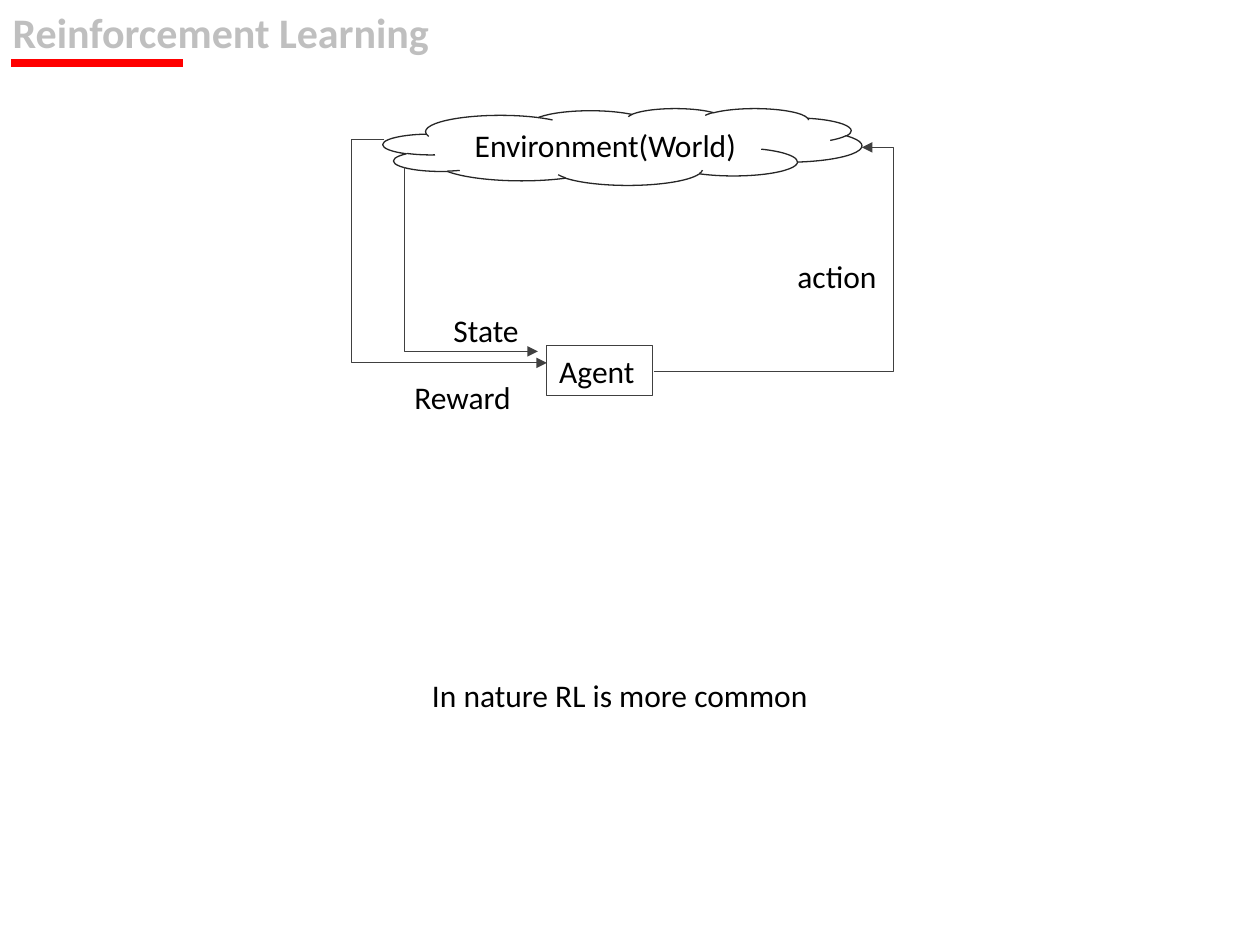
from lxml import etree
from pptx import Presentation
from pptx.dml.color import RGBColor
from pptx.enum.shapes import MSO_CONNECTOR, MSO_SHAPE
from pptx.enum.text import MSO_ANCHOR, PP_ALIGN
from pptx.oxml.ns import qn
from pptx.util import Inches, Pt

ELBOW, STRAIGHT = MSO_CONNECTOR.ELBOW, MSO_CONNECTOR.STRAIGHT
CLOUD, RECT = MSO_SHAPE.CLOUD, MSO_SHAPE.RECTANGLE
LEFT, CENTER = PP_ALIGN.LEFT, PP_ALIGN.CENTER
TOP, MIDDLE = MSO_ANCHOR.TOP, MSO_ANCHOR.MIDDLE
COLS, ROWS = 100, 75
FONT = "Calibri"


def cells(*nums):
    return [Inches(n / 10) for n in nums]


def color(code):
    return RGBColor.from_string(code)


def write(shape, text, size=18, ink="000000", bold=False, align=LEFT, anchor=TOP):
    frame = shape.text_frame
    frame.word_wrap = True
    frame.vertical_anchor = anchor
    para = frame.paragraphs[0]
    para.alignment = align
    run = para.add_run()
    run.text = text
    font = run.font
    font.name, font.size, font.bold = FONT, Pt(size), bold
    font.color.rgb = color(ink)


def add_title(slide, text, box):
    title = slide.shapes.title
    title.left, title.top, title.width, title.height = cells(*box)
    write(title, text, 24, "BFBFBF", True)


def add_label(slide, text, box):
    write(slide.shapes.add_textbox(*cells(*box)), text)


def add_node(slide, kind, text, box, edge, align):
    node = slide.shapes.add_shape(kind, *cells(*box))
    node.shadow.inherit = False
    node.fill.background()
    node.line.color.rgb = color(edge)
    node.line.width = Pt(0.75)
    write(node, text, align=align, anchor=MIDDLE)


def add_line(slide, kind, start, end, ink, width):
    line = slide.shapes.add_connector(kind, *cells(*start, *end))
    line.line.color.rgb = color(ink)
    line.line.width = Pt(width)
    etree.SubElement(line._element.spPr, qn("a:effectLst"))
    return line


def add_bend(slide, start, end, turn, tip="tailEnd"):
    bend = add_line(slide, ELBOW, start, end, "404040", 0.5)
    share = (turn - start[0]) / (end[0] - start[0])
    props = bend._element.spPr
    guides = props.find(qn("a:prstGeom")).get_or_add_avLst()
    etree.SubElement(guides, qn("a:gd"), name="adj1", fmla=f"val {round(share * 100000)}")
    etree.SubElement(props.find(qn("a:ln")), qn("a:" + tip), type="triangle")


def main():
    deck = Presentation()
    deck.slide_width, deck.slide_height = cells(COLS, ROWS)
    slide = deck.slides.add_slide(deck.slide_layouts[5])

    add_title(slide, "Reinforcement Learning", (0, 0, 42.9, 5))
    add_line(slide, STRAIGHT, (0.9, 5), (14.5, 5), "FF0000", 4.5)

    add_node(slide, CLOUD, "Environment(World)", (30.4, 8.6, 38, 6.1), "262626", CENTER)
    add_node(slide, RECT, "Agent", (43.4, 27.4, 8.4, 4), "404040", LEFT)

    for text, box in (
        ("action", (62.3, 19.9, 9.2, 4)),
        ("State", (35, 24.2, 7.2, 4)),
        ("Reward", (31.9, 29.5, 10.2, 4)),
        ("In nature RL is more common", (33.3, 53.2, 32.2, 4)),
    ):
        add_label(slide, text, box)

    add_bend(slide, (51.9, 29.5), (68.4, 11.7), 70.9)
    add_bend(slide, (42.7, 27.9), (32.1, 13.3), 32.1, "headEnd")
    add_bend(slide, (30.5, 11.1), (43.4, 28.8), 27.9)

    deck.save("out.pptx")


if __name__ == "__main__":
    main()
